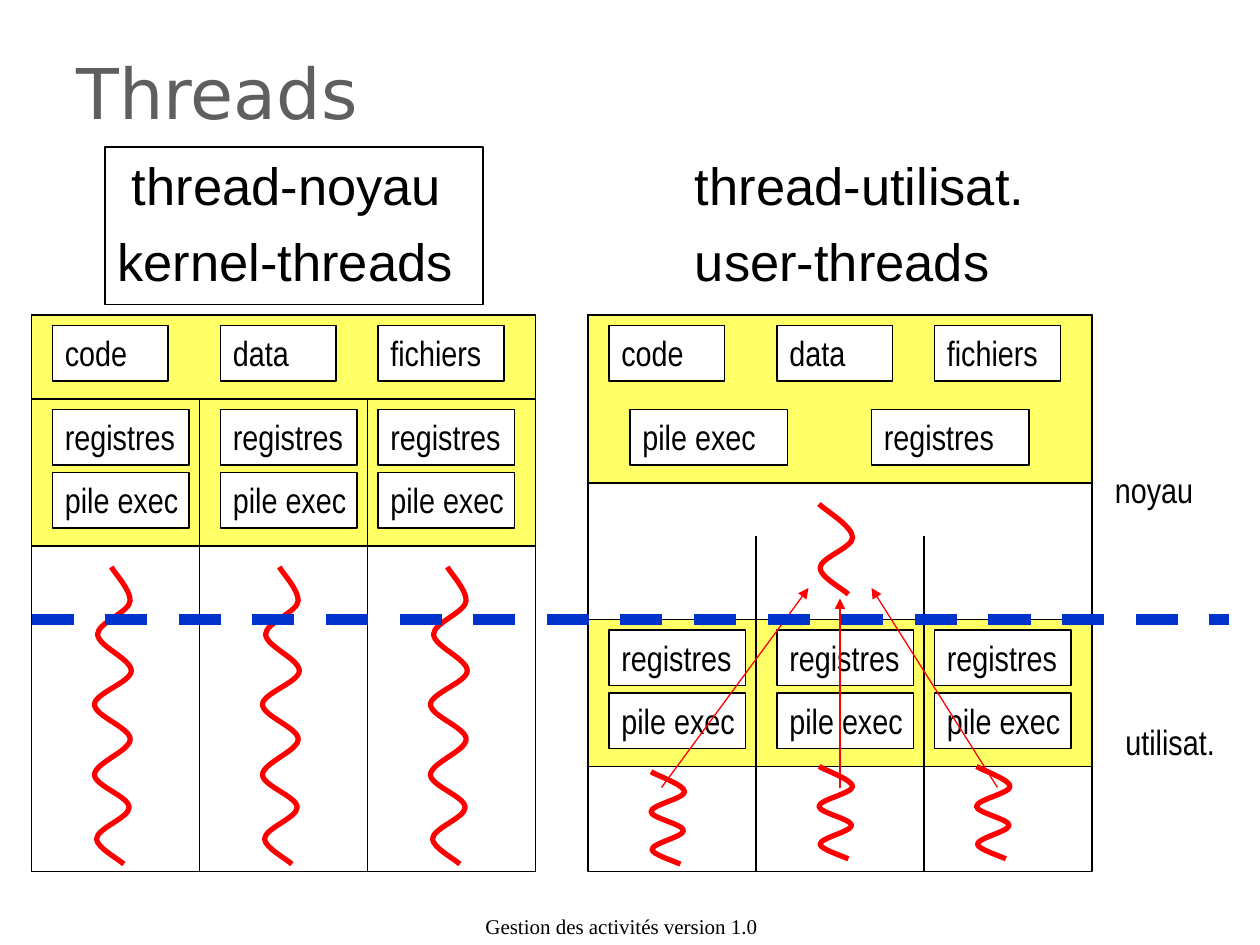
from dataclasses import dataclass

from lxml import etree
from pptx import Presentation
from pptx.dml.color import RGBColor
from pptx.enum.dml import MSO_LINE
from pptx.enum.shapes import MSO_CONNECTOR, MSO_SHAPE
from pptx.enum.text import MSO_ANCHOR, MSO_AUTO_SIZE, PP_ALIGN
from pptx.oxml.ns import qn
from pptx.util import Emu, Pt

PX = 7620  # EMU per px, 120 px to the inch
RECT = MSO_SHAPE.RECTANGLE
STRAIGHT = MSO_CONNECTOR.STRAIGHT
DASH = MSO_LINE.DASH
TOP, MIDDLE, BOTTOM = MSO_ANCHOR.TOP, MSO_ANCHOR.MIDDLE, MSO_ANCHOR.BOTTOM
LEFT, CENTER = PP_ALIGN.LEFT, PP_ALIGN.CENTER
GROW = MSO_AUTO_SIZE.SHAPE_TO_FIT_TEXT


@dataclass(frozen=True)
class Style:
    font: str
    size: int
    color: str = "000000"
    before: float = 0
    hanging: int = 0


@dataclass(frozen=True)
class Theme:
    ink: str = "000000"
    paper: str = "FFFFFF"
    context: str = "FFFF66"
    thread: str = "FF0000"
    border: str = "0033CC"
    thin: float = 0.75
    wave: float = 3
    thick: float = 6
    title: Style = Style("DejaVu Sans", 40, "5F5F5F")
    heading: Style = Style("Arial", 30, before=7.5, hanging=45)
    label: Style = Style("Arial Narrow", 20, before=12.5)
    footer: Style = Style("Times New Roman", 12)


THEME = Theme()
COLUMN = 160
PANEL_WIDTH = 3 * COLUMN
PANEL_TOP, PANEL_HEIGHT = 300, 530
BOX_HEIGHT = 53
BOX_OFFSETS = (20, 180, 330)
SHARED_BOXES = (("code", 110), ("data", 110), ("fichiers", 120))
BORDER_Y = 590

LONG_WAVE = ((0, 0), (18, 32), (-13, 64), (19, 99), (-16, 131), (18, 164),
             (-16, 198), (17, 229), (-14, 259), (12, 283))
SHORT_WAVE = ((0, 0), (32, 19), (0, 38), (31, 56), (1, 74), (28, 88))
KERNEL_WAVE = ((0, 0), (32, 32), (1, 61), (28, 86))


def px(*lengths):
    return [Emu(round(length * PX)) for length in lengths]


def rgb(color):
    return RGBColor.from_string(color)


def write(frame, text, style, anchor=TOP, align=LEFT, right=12):
    frame.text = text
    frame.word_wrap = True
    frame.vertical_anchor = anchor
    frame.margin_left, frame.margin_top, frame.margin_right, frame.margin_bottom = px(12, 6, right, 6)
    for paragraph in frame.paragraphs:
        paragraph.alignment = align
        paragraph.space_before = Pt(style.before)
        if style.hanging:
            indent = style.hanging * PX
            properties = paragraph._p.get_or_add_pPr()
            properties.set("marL", str(indent))
            properties.set("indent", str(-indent))
        for run in paragraph.runs:
            run.font.name = style.font
            run.font.size = Pt(style.size)
            run.font.color.rgb = rgb(style.color)


def stroke(line, color, width):
    line.color.rgb = rgb(color)
    line.width = Pt(width)


def add_panel(slide, x, y, width, height, fill=THEME.paper, outlined=True):
    panel = slide.shapes.add_shape(RECT, *px(x, y, width, height))
    panel.shadow.inherit = False
    panel.fill.solid()
    panel.fill.fore_color.rgb = rgb(fill)
    if outlined:
        stroke(panel.line, THEME.ink, THEME.thin)
    else:
        panel.line.fill.background()
    return panel


def add_label(slide, text, x, y, width, right=12, outlined=True):
    box = add_panel(slide, x, y, width, BOX_HEIGHT, outlined=outlined)
    write(box.text_frame, text, THEME.label, right=right)
    box.text_frame.auto_size = GROW


def add_line(slide, start, end, color=THEME.ink, width=THEME.thin, dash=None, arrow=False):
    connector = slide.shapes.add_connector(STRAIGHT, *px(*start, *end))
    stroke(connector.line, color, width)
    if dash:
        connector.line.dash_style = dash
    if arrow:
        etree.SubElement(connector.line._get_or_add_ln(), qn("a:tailEnd"), type="triangle")
    etree.SubElement(connector._element.spPr, qn("a:effectLst"))


def wave_controls(knots):
    """Bezier points after the first knot: upright at each turn, leaning at both ends."""
    points = []
    last = len(knots) - 2
    for i, ((x0, y0), (x1, y1)) in enumerate(zip(knots, knots[1:])):
        dx, dy = x1 - x0, y1 - y0
        leave = (x0 + dx / 5, y0 + dy / 5) if i == 0 else (x0, y0 + dy / 3)
        arrive = (x1 - dx / 5, y1 - dy / 5) if i == last else (x1, y1 - dy / 3)
        points += [leave, arrive, (x1, y1)]
    return points


def add_wave(slide, x, y, knots):
    builder = slide.shapes.build_freeform(*px(x, y))
    builder.add_line_segments([px(x + dx, y + dy) for dx, dy in wave_controls(knots)], close=False)
    wave = builder.convert_to_shape()
    segments = list(wave._element.iter(qn("a:lnTo")))
    for i in range(0, len(segments), 3):
        curve = etree.Element(qn("a:cubicBezTo"))
        segments[i].addprevious(curve)
        for segment in segments[i:i + 3]:
            curve.append(segment[0])
            segment.getparent().remove(segment)
    wave.shadow.inherit = False
    wave.fill.background()
    stroke(wave.line, THEME.thread, THEME.wave)


def add_shared_boxes(slide, left):
    for offset, (name, width) in zip(BOX_OFFSETS, SHARED_BOXES):
        add_label(slide, name, left + offset, 310, width)


def add_thread_boxes(slide, left, top):
    for offset in BOX_OFFSETS:
        for row, name in enumerate(("registres", "pile exec")):
            add_label(slide, name, left + offset, top + 60 * row, 130, right=7)


def add_column_lines(slide, left, top):
    for column in (1, 2):
        x = left + column * COLUMN
        add_line(slide, (x, top), (x, PANEL_TOP + PANEL_HEIGHT))


def add_kernel_threads(slide, left):
    add_panel(slide, left, PANEL_TOP, PANEL_WIDTH, PANEL_HEIGHT)
    add_panel(slide, left, PANEL_TOP, PANEL_WIDTH, 220, THEME.context)
    add_line(slide, (left, 380), (left + PANEL_WIDTH, 380))
    add_column_lines(slide, left, 380)
    add_shared_boxes(slide, left)
    add_thread_boxes(slide, left, 390)
    for column in range(3):
        add_wave(slide, left + 76 + column * COLUMN, 540, LONG_WAVE)


def add_user_threads(slide, left):
    add_panel(slide, left, PANEL_TOP, PANEL_WIDTH, PANEL_HEIGHT)
    add_panel(slide, left, BORDER_Y, PANEL_WIDTH, 140, THEME.context)
    add_column_lines(slide, left, 510)
    add_panel(slide, left, PANEL_TOP, PANEL_WIDTH, 160, THEME.context)
    add_shared_boxes(slide, left)
    add_label(slide, "pile exec", left + 40, 390, 150)
    add_label(slide, "registres", left + 270, 390, 150)
    add_thread_boxes(slide, left, 600)
    for start_x, end in ((630, (770, 560)), (800, (800, 570)), (950, (830, 560))):
        add_line(slide, (start_x, 750), end, THEME.thread, arrow=True)
    for x, y in ((620, 735), (780, 730), (930, 730)):
        add_wave(slide, x, y, SHORT_WAVE)
    add_wave(slide, 780, 480, KERNEL_WAVE)


def add_headings(slide):
    title = slide.shapes.title
    title.left, title.top, title.width, title.height = px(61, 34, 804, 106)
    write(title.text_frame, "Threads", THEME.title, MIDDLE)
    kernel = add_panel(slide, 100, 140, 360, 150)
    write(kernel.text_frame, " thread-noyau\nkernel-threads", THEME.heading)
    user = slide.shapes.add_textbox(*px(650, 140, 350, 150))
    write(user.text_frame, "thread-utilisat.\nuser-threads", THEME.heading)


def main():
    prs = Presentation()
    prs.slide_width, prs.slide_height = px(1200, 900)
    slide = prs.slides.add_slide(prs.slide_layouts[5])
    add_headings(slide)
    add_user_threads(slide, 560)
    add_kernel_threads(slide, 30)
    add_line(slide, (30, BORDER_Y), (1170, BORDER_Y), THEME.border, THEME.thick, DASH)
    add_label(slide, "noyau", 1050, 440, 120, outlined=False)
    add_label(slide, "utilisat.", 1060, 680, 120, outlined=False)
    footer = slide.shapes.add_textbox(*px(402, 857, 380, 43))
    write(footer.text_frame, "Gestion des activités version 1.0", THEME.footer, BOTTOM, CENTER)
    prs.save("out.pptx")


if __name__ == "__main__":
    main()
